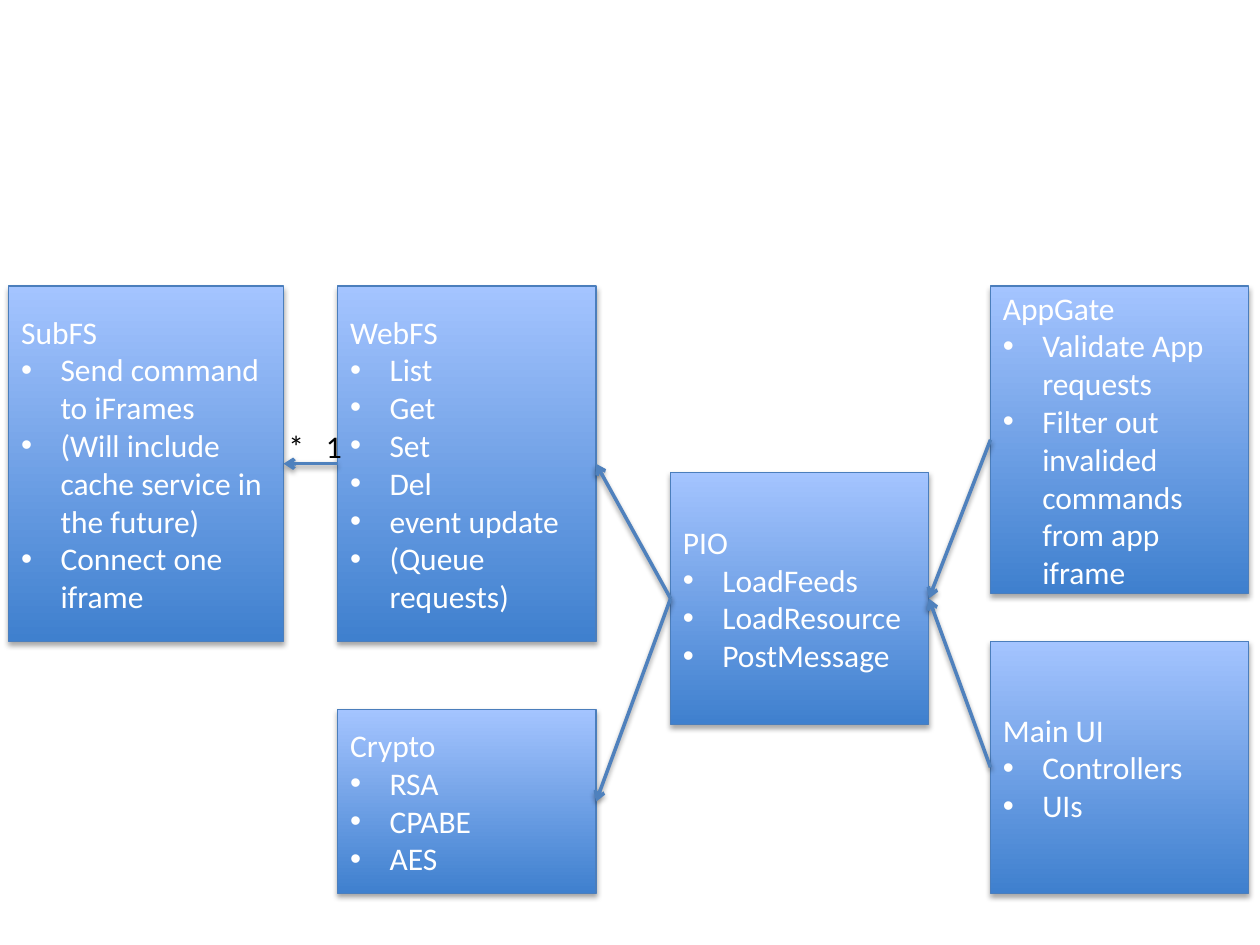
from lxml import etree
from pptx import Presentation
from pptx.dml.color import RGBColor
from pptx.enum.shapes import MSO_CONNECTOR, MSO_SHAPE
from pptx.enum.text import MSO_ANCHOR, PP_ALIGN
from pptx.oxml.ns import qn
from pptx.util import Pt

RECTANGLE = MSO_SHAPE.RECTANGLE
STRAIGHT = MSO_CONNECTOR.STRAIGHT
MIDDLE = MSO_ANCHOR.MIDDLE
LEFT = PP_ALIGN.LEFT
LEFT_SIDE, RIGHT_SIDE = 1, 3
FONT, SIZE, INDENT = "Calibri", 18, 22.5

# Column -> left, width
COLUMNS = {
    "sub": (5, 157),
    "file": (193, 147.6),
    "core": (383.2, 147.6),
    "app": (566, 147.6),
}

# Title, column, top, height, bullets
MODULES = [
    ("SubFS", "sub", 163.5, 203,
     ["Send command to iFrames",
      "(Will include cache service in the future)",
      "Connect one iframe"]),
    ("WebFS", "file", 163.5, 203,
     ["List", "Get", "Set", "Del", "event update", "(Queue requests)"]),
    ("PIO", "core", 270, 144, ["LoadFeeds", "LoadResource", "PostMessage"]),
    ("AppGate", "app", 163.5, 175.6,
     ["Validate App requests",
      "Filter out invalided commands from app iframe"]),
    ("Crypto", "file", 405.6, 105, ["RSA", "CPABE", "AES"]),
    ("Main UI", "app", 366.5, 144, ["Controllers", "UIs"]),
]

# Each arrow runs from a left side to a right side
ARROWS = [
    ("AppGate", "PIO"),
    ("Main UI", "PIO"),
    ("PIO", "WebFS"),
    ("PIO", "Crypto"),
    ("WebFS", "SubFS"),
]


def color(value):
    return RGBColor.from_string(value)


def add_child(parent, tag, **attributes):
    child = etree.SubElement(parent, qn(tag))
    for name, value in attributes.items():
        child.set(name, str(value))
    return child


def add_shadow(shape, distance, opacity):
    effects = add_child(shape._element.spPr, "a:effectLst")
    shadow = add_child(effects, "a:outerShdw", blurRad=Pt(3.1),
                       dist=Pt(distance), dir=90 * 60000, rotWithShape=0)
    black = add_child(shadow, "a:srgbClr", val="000000")
    add_child(black, "a:alpha", val=opacity * 1000)


def add_span(para, text, ink):
    para.alignment = LEFT
    span = para.add_run()
    span.text = text
    span.font.name = FONT
    span.font.size = Pt(SIZE)
    span.font.color.rgb = color(ink)


def add_module(page, title, column, top, height, bullets):
    left, width = COLUMNS[column]
    box = page.shapes.add_shape(RECTANGLE, Pt(left), Pt(top), Pt(width), Pt(height))
    box.fill.gradient()
    box.fill.gradient_angle = 90
    for stop, shade in zip(box.fill.gradient_stops, ("3F80CE", "A4C4FF")):
        stop.color.rgb = color(shade)
    box.line.color.rgb = color("4B7EBC")
    box.line.width = Pt(0.75)
    add_shadow(box, 1.8, 35)

    frame = box.text_frame
    frame.word_wrap = True
    frame.vertical_anchor = MIDDLE
    add_span(frame.paragraphs[0], title, "FFFFFF")
    for bullet in bullets:
        para = frame.add_paragraph()
        add_span(para, bullet, "FFFFFF")
        properties = para._p.get_or_add_pPr()
        properties.set("marL", str(Pt(INDENT)))
        properties.set("indent", str(-Pt(INDENT)))
        add_child(properties, "a:buFont", typeface="Arial")
        add_child(properties, "a:buChar", char="•")
    return box


def add_arrow(page, source, target):
    arrow = page.shapes.add_connector(STRAIGHT, 0, 0, 0, 0)
    arrow.begin_connect(source, LEFT_SIDE)
    arrow.end_connect(target, RIGHT_SIDE)
    arrow.line.color.rgb = color("4F81BD")
    arrow.line.width = Pt(2)
    add_child(arrow.line._get_or_add_ln(), "a:tailEnd", type="arrow")
    add_shadow(arrow, 1.6, 38)


def add_multiplicity(page):
    label = page.shapes.add_textbox(Pt(157.7), Pt(240.5), Pt(45.4), Pt(29))
    frame = label.text_frame
    frame.word_wrap = True
    frame.margin_right = 0
    para = frame.paragraphs[0]
    add_span(para, "*\t1", "000000")
    # A tab stop sets the gap between the two ends
    stops = add_child(para._p.get_or_add_pPr(), "a:tabLst")
    add_child(stops, "a:tab", pos=Pt(21.5), algn="l")


def main():
    deck = Presentation()
    deck.slide_width, deck.slide_height = Pt(720), Pt(540)
    page = deck.slides.add_slide(deck.slide_layouts[6])
    boxes = {module[0]: add_module(page, *module) for module in MODULES}
    for source, target in ARROWS:
        add_arrow(page, boxes[source], boxes[target])
    add_multiplicity(page)
    deck.save("out.pptx")


if __name__ == "__main__":
    main()
